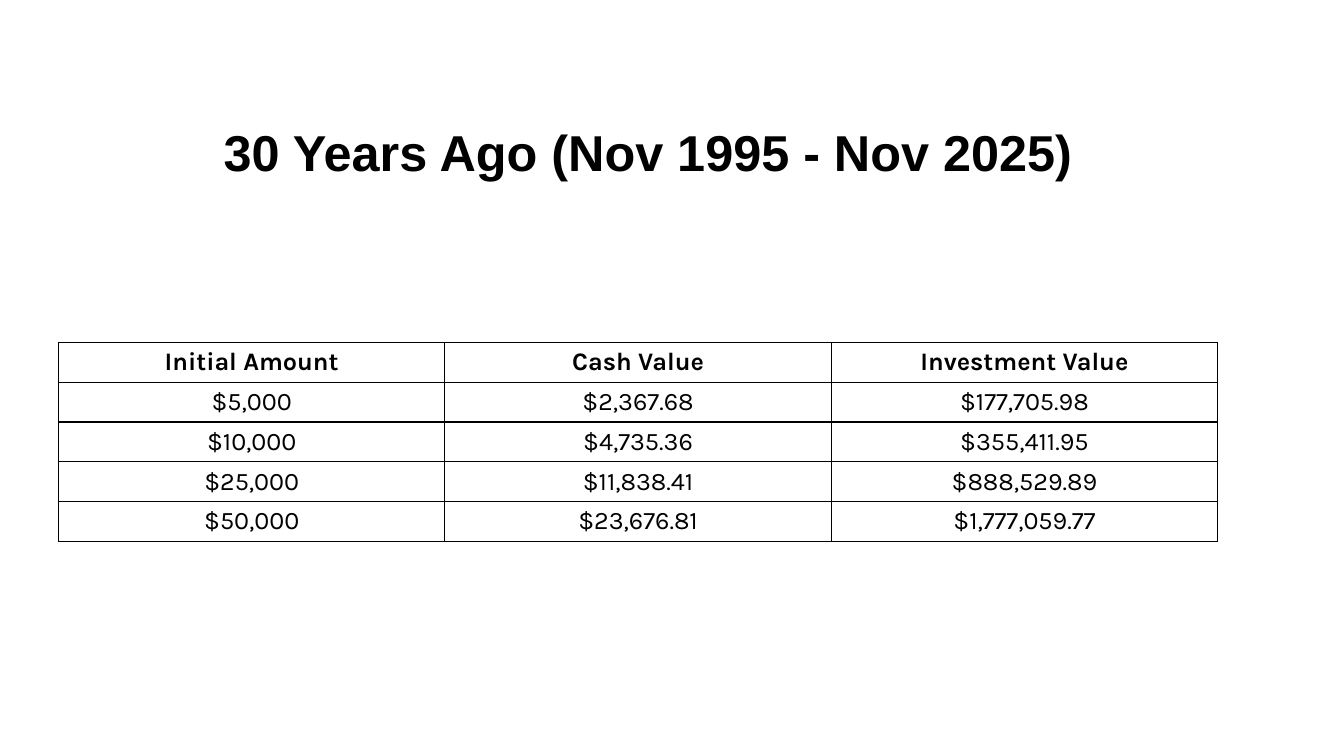
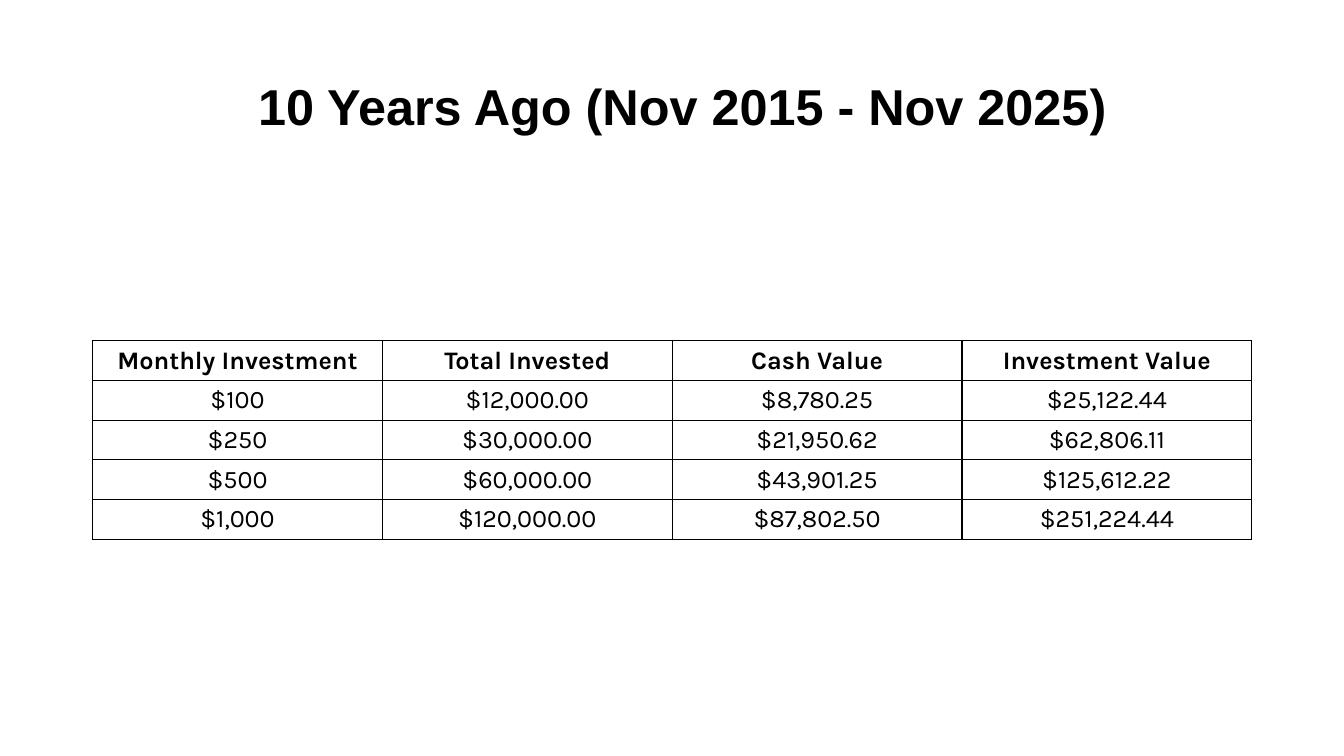
from lxml.etree import SubElement
from pptx import Presentation
from pptx.dml.color import RGBColor
from pptx.enum.text import MSO_ANCHOR as ANCHOR, MSO_AUTO_SIZE as AUTO, PP_ALIGN as ALIGN
from pptx.oxml.ns import qn
from pptx.util import Pt

# Shared style
INK = "000000"
TITLE_FONT, TABLE_FONT = "Arial", "Karla"
TITLE_W, TITLE_H = 626.4, 52
TABLE_W, ROW_H = 828, 28.35
BORDER = 1


def rgb(code):
    return RGBColor.from_string(code)


def style(p, font, size, bold, align):
    p.alignment = align
    p.font.name, p.font.size, p.font.bold = font, Pt(size), bold
    p.font.color.rgb = rgb(INK)


def set_borders(cell):
    tc_pr = cell._tc.get_or_add_tcPr()
    for side in ("lnL", "lnR", "lnT", "lnB"):
        ln = SubElement(tc_pr, qn(f"a:{side}"), w=str(Pt(BORDER)))
        fill = SubElement(ln, qn("a:solidFill"))
        SubElement(fill, qn("a:srgbClr"), val=INK)


def add_title(s, text, left, top):
    sp = s.shapes.title
    sp.left, sp.top, sp.width, sp.height = map(Pt, (left, top, TITLE_W, TITLE_H))
    tf = sp.text_frame
    tf.text = text
    tf.auto_size, tf.word_wrap = AUTO.NONE, True
    tf.vertical_anchor = ANCHOR.MIDDLE
    style(tf.paragraphs[0], TITLE_FONT, 36, True, ALIGN.LEFT)


def add_grid(s, rows, left, top):
    n_rows, n_cols = len(rows), len(rows[0])
    table = s.shapes.add_table(n_rows, n_cols, Pt(left), Pt(top),
                               Pt(TABLE_W), Pt(ROW_H * n_rows)).table
    table.first_row = table.horz_banding = False
    for col in table.columns:
        col.width = Pt(TABLE_W / n_cols)
    for i, values in enumerate(rows):
        table.rows[i].height = Pt(ROW_H)
        for j, value in enumerate(values):
            cell = table.cell(i, j)
            cell.text = value
            cell.vertical_anchor = ANCHOR.MIDDLE
            set_borders(cell)  # borders must precede the fill in the XML
            cell.fill.background()
            style(cell.text_frame.paragraphs[0], TABLE_FONT, 18, i == 0, ALIGN.CENTER)


def add_returns_slide(prs, title, title_at, rows, table_at):
    s = prs.slides.add_slide(prs.slide_layouts[5])
    for sp in list(s.placeholders):
        if sp != s.shapes.title:
            sp.element.getparent().remove(sp.element)
    add_grid(s, rows, *table_at)
    add_title(s, title, *title_at)


# Slide content
LUMP_SUM = [
    ("Initial Amount", "Cash Value", "Investment Value"),
    ("$5,000", "$2,367.68", "$177,705.98"),
    ("$10,000", "$4,735.36", "$355,411.95"),
    ("$25,000", "$11,838.41", "$888,529.89"),
    ("$50,000", "$23,676.81", "$1,777,059.77"),
]
MONTHLY = [
    ("Monthly Investment", "Total Invested", "Cash Value", "Investment Value"),
    ("$100", "$12,000.00", "$8,780.25", "$25,122.44"),
    ("$250", "$30,000.00", "$21,950.62", "$62,806.11"),
    ("$500", "$60,000.00", "$43,901.25", "$125,612.22"),
    ("$1,000", "$120,000.00", "$87,802.50", "$251,224.44"),
]


def main():
    prs = Presentation()
    prs.slide_width, prs.slide_height = Pt(960), Pt(540)
    add_returns_slide(prs, "30 Years Ago (Nov 1995 - Nov 2025)", (152.6, 82),
                      LUMP_SUM, (41.8, 244.8))
    add_returns_slide(prs, "10 Years Ago (Nov 2015 - Nov 2025)", (177.1, 49),
                      MONTHLY, (66.2, 243.4))
    prs.save("out.pptx")


if __name__ == "__main__":
    main()
